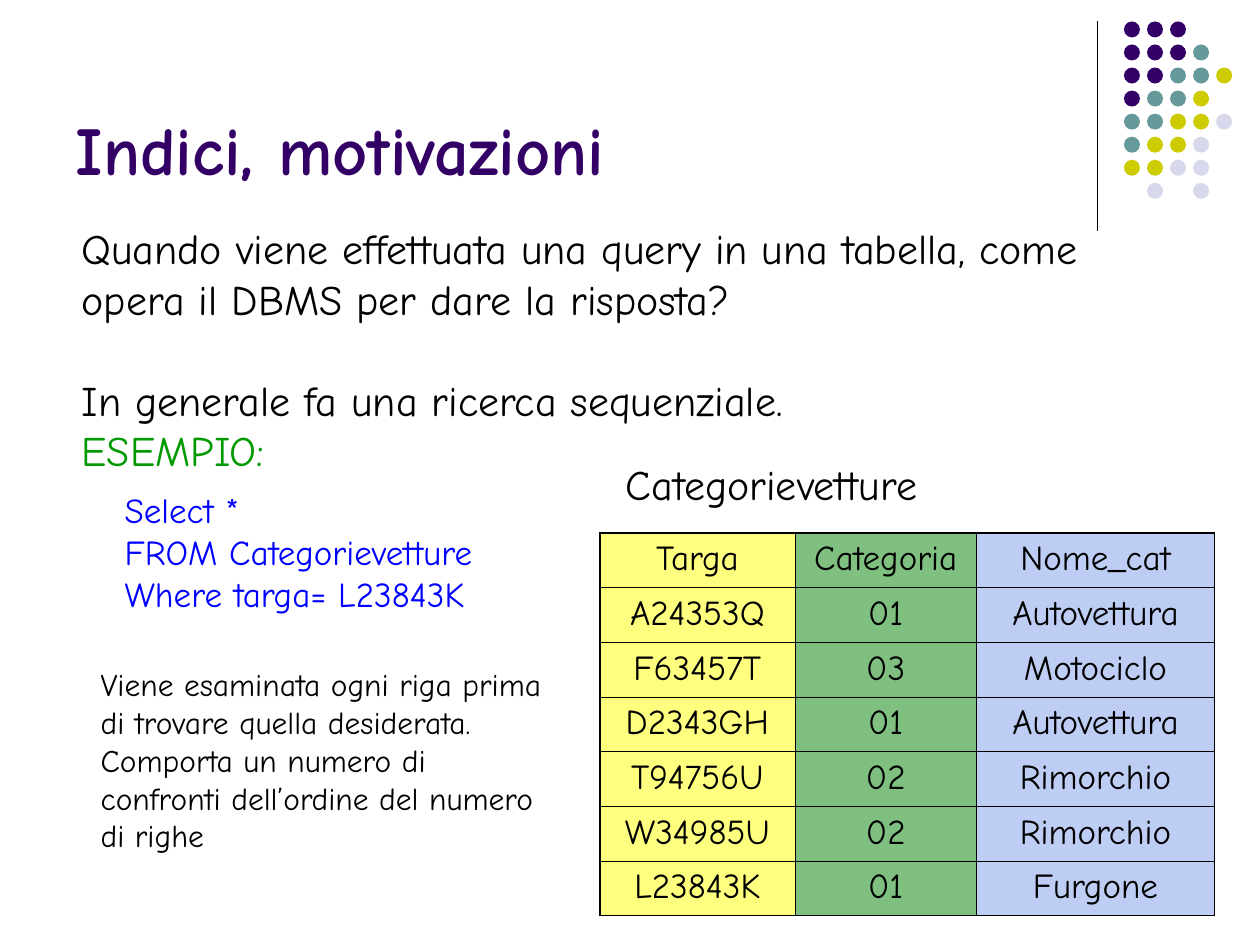
"""Build a slide on sequential search in a table, laid out on a grid of 100 columns by 75 rows."""
from dataclasses import dataclass

import lxml.etree
import pptx
import pptx.dml.color
import pptx.enum.shapes
import pptx.enum.text
import pptx.oxml.ns
import pptx.util

COLUMNS, ROWS = 100, 75
WIDTH, HEIGHT = pptx.util.Inches(10), pptx.util.Inches(7.5)


@dataclass(frozen=True)
class Theme:
    font: str = "Comic Neue"
    ink: str = "000000"
    title: str = "330066"
    example: str = "009900"
    query: str = "0000FF"
    dots: tuple[str, ...] = ("330066", "669999", "CCCC00", "D8D8EC")
    columns: tuple[str, ...] = ("FFFF00", "008000", "7E9CE8")
    opacity: int = 50
    title_size: float = 39
    body_size: float = 24
    table_size: float = 20
    note_size: float = 18
    rule: float = 0.75
    inner_border: float = 0.45
    outer_border: float = 1.08


THEME = Theme()


@dataclass(frozen=True)
class Line:
    text: str
    color: str = THEME.ink
    before: float = 0


@dataclass(frozen=True)
class TextBlock:
    left: float
    top: float
    width: float
    height: float
    size: float
    lines: tuple[Line, ...]
    bold: bool = False
    wrap: bool = True
    anchor: pptx.enum.text.MSO_ANCHOR = pptx.enum.text.MSO_ANCHOR.TOP


BLOCKS = (
    TextBlock(5, 1.3, 82.5, 14.2, THEME.title_size, (Line("Indici, motivazioni", THEME.title),),
              bold=True, anchor=pptx.enum.text.MSO_ANCHOR.BOTTOM),
    TextBlock(5.5, 17.2, 85.9, 21, THEME.body_size, (
        Line("Quando viene effettuata una query in una tabella, come opera il DBMS per dare la risposta?"),
        Line("In generale fa una ricerca sequenziale.", before=29),
        Line("ESEMPIO:", THEME.example),
    )),
    TextBlock(8.9, 38.3, 29.8, 11, THEME.table_size, (
        Line("Select *", THEME.query),
        Line("FROM Categorievetture", THEME.query),
        Line("Where targa= L23843K", THEME.query),
    ), wrap=False),
    TextBlock(48.7, 35.9, 25.3, 5, THEME.body_size, (Line("Categorievetture"),), wrap=False),
    TextBlock(7, 52.3, 37.5, 16, THEME.note_size, (
        Line("Viene esaminata ogni riga prima di trovare quella desiderata. "
             "Comporta un numero di confronti dell’ordine del numero di righe"),
    )),
)
DOT_PATTERN = ("000", "0001", "00112", "0112", "11223", "1223", "2233", " 3 3")
TABLE_COLUMNS = (15.5, 14.4, 18.9)
RECORDS = (
    ("Targa", "Categoria", "Nome_cat"),
    ("A24353Q", "01", "Autovettura"),
    ("F63457T", "03", "Motociclo"),
    ("D2343GH", "01", "Autovettura"),
    ("T94756U", "02", "Rimorchio"),
    ("W34985U", "02", "Rimorchio"),
    ("L23843K", "01", "Furgone"),
)


def x(columns: float) -> int:
    """Return the length of a number of grid columns."""
    return round(WIDTH * columns / COLUMNS)


def y(rows: float) -> int:
    """Return the length of a number of grid rows."""
    return round(HEIGHT * rows / ROWS)


def rgb(value: str) -> pptx.dml.color.RGBColor:
    """Return a colour from its hexadecimal value."""
    return pptx.dml.color.RGBColor.from_string(value)


def style(p, size: float, color: str, bold: bool = False) -> None:
    """Set the font of a paragraph."""
    p.font.name = THEME.font
    p.font.size = pptx.util.Pt(size)
    p.font.bold = bold
    p.font.color.rgb = rgb(color)


def add_text(slide, block: TextBlock) -> None:
    """Draw a block of text."""
    sp = slide.shapes.add_textbox(x(block.left), y(block.top), x(block.width), y(block.height))
    tf = sp.text_frame
    tf.word_wrap = block.wrap
    tf.vertical_anchor = block.anchor
    for i, line in enumerate(block.lines):
        p = tf.add_paragraph() if i else tf.paragraphs[0]
        p.text = line.text
        if line.before:
            p.space_before = pptx.util.Pt(line.before)
        style(p, block.size, line.color, block.bold)


def add_rule(slide) -> None:
    """Draw the upright line beside the dots."""
    rule = slide.shapes.add_connector(
        pptx.enum.shapes.MSO_CONNECTOR.STRAIGHT, x(87.1), y(1.7), x(87.1), y(18.3))
    rule.line.color.rgb = rgb(THEME.ink)
    rule.line.width = pptx.util.Pt(THEME.rule)
    lxml.etree.SubElement(rule._element.spPr, pptx.oxml.ns.qn("a:effectLst"))


def add_dots(slide, left: float, top: float, pitch: float, size: float) -> None:
    """Draw the corner pattern of dots."""
    for row, pattern in enumerate(DOT_PATTERN):
        for column, key in enumerate(pattern):
            if key == " ":
                continue
            dot = slide.shapes.add_shape(
                pptx.enum.shapes.MSO_SHAPE.OVAL,
                x(left + column * pitch), y(top + row * pitch), x(size), y(size))
            dot.shadow.inherit = False
            dot.fill.solid()
            dot.fill.fore_color.rgb = rgb(THEME.dots[int(key)])
            dot.line.fill.background()


def set_borders(cell, outer: dict[str, bool]) -> None:
    """Give a cell heavy borders on its outer sides and thin ones elsewhere."""
    qn = pptx.oxml.ns.qn
    for i, (side, heavy) in enumerate(outer.items()):
        width = pptx.util.Pt(THEME.outer_border if heavy else THEME.inner_border)
        ln = lxml.etree.Element(qn(f"a:ln{side}"), w=str(int(width)))
        fill = lxml.etree.SubElement(ln, qn("a:solidFill"))
        lxml.etree.SubElement(fill, qn("a:srgbClr"), val=THEME.ink)
        cell._tc.get_or_add_tcPr().insert(i, ln)


def fill_cell(cell, text: str, color: str) -> None:
    """Write a centred value on a translucent fill."""
    cell.fill.solid()
    cell.fill.fore_color.rgb = rgb(color)
    tint = cell._tc.tcPr.find(".//" + pptx.oxml.ns.qn("a:srgbClr"))
    lxml.etree.SubElement(tint, pptx.oxml.ns.qn("a:alpha"), val=str(THEME.opacity * 1000))
    p = cell.text_frame.paragraphs[0]
    p.text = text
    p.alignment = pptx.enum.text.PP_ALIGN.CENTER
    style(p, THEME.table_size, THEME.ink)


def add_records(slide, left: float, top: float, row_height: float) -> None:
    """Draw the table of vehicles."""
    last_row, last_column = len(RECORDS) - 1, len(TABLE_COLUMNS) - 1
    table = slide.shapes.add_table(
        len(RECORDS), len(TABLE_COLUMNS), x(left), y(top),
        x(sum(TABLE_COLUMNS)), y(row_height * len(RECORDS))).table
    table.first_row = table.horz_banding = False
    for column, width in zip(table.columns, TABLE_COLUMNS):
        column.width = x(width)
    for i, record in enumerate(RECORDS):
        table.rows[i].height = y(row_height)
        for j, value in enumerate(record):
            cell = table.cell(i, j)
            fill_cell(cell, value, THEME.columns[j])
            set_borders(cell, {"L": j == 0, "R": j == last_column, "T": i == 0, "B": i == last_row})


def main() -> None:
    """Build and save the slide."""
    prs = pptx.Presentation()
    prs.slide_width, prs.slide_height = WIDTH, HEIGHT
    slide = prs.slides.add_slide(prs.slide_layouts[6])
    add_rule(slide)
    add_dots(slide, left=89.2, top=1.7, pitch=1.83, size=1.27)
    for block in BLOCKS:
        add_text(slide, block)
    add_records(slide, left=47.6, top=42.3, row_height=4.33)
    prs.save("out.pptx")


if __name__ == "__main__":
    main()
